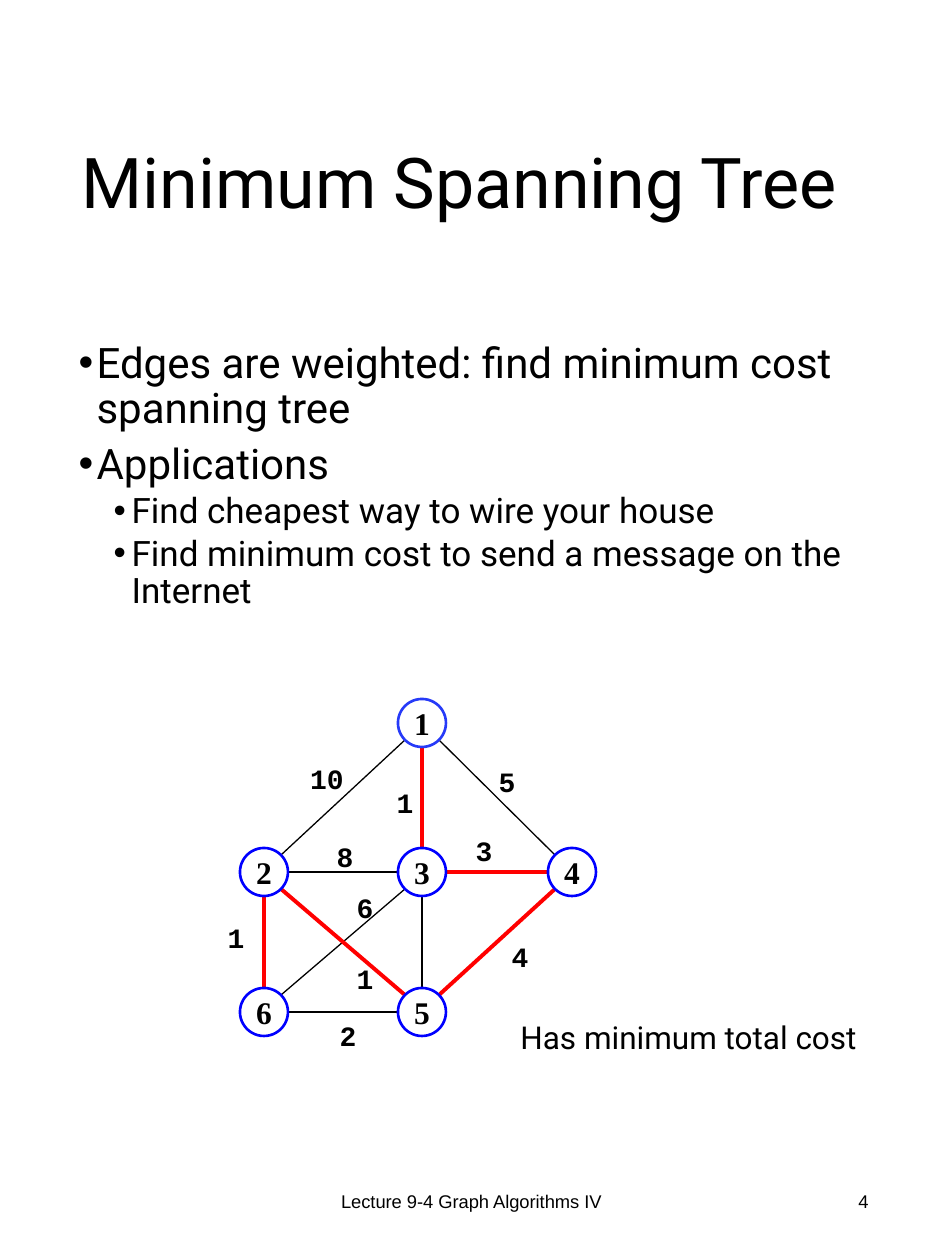
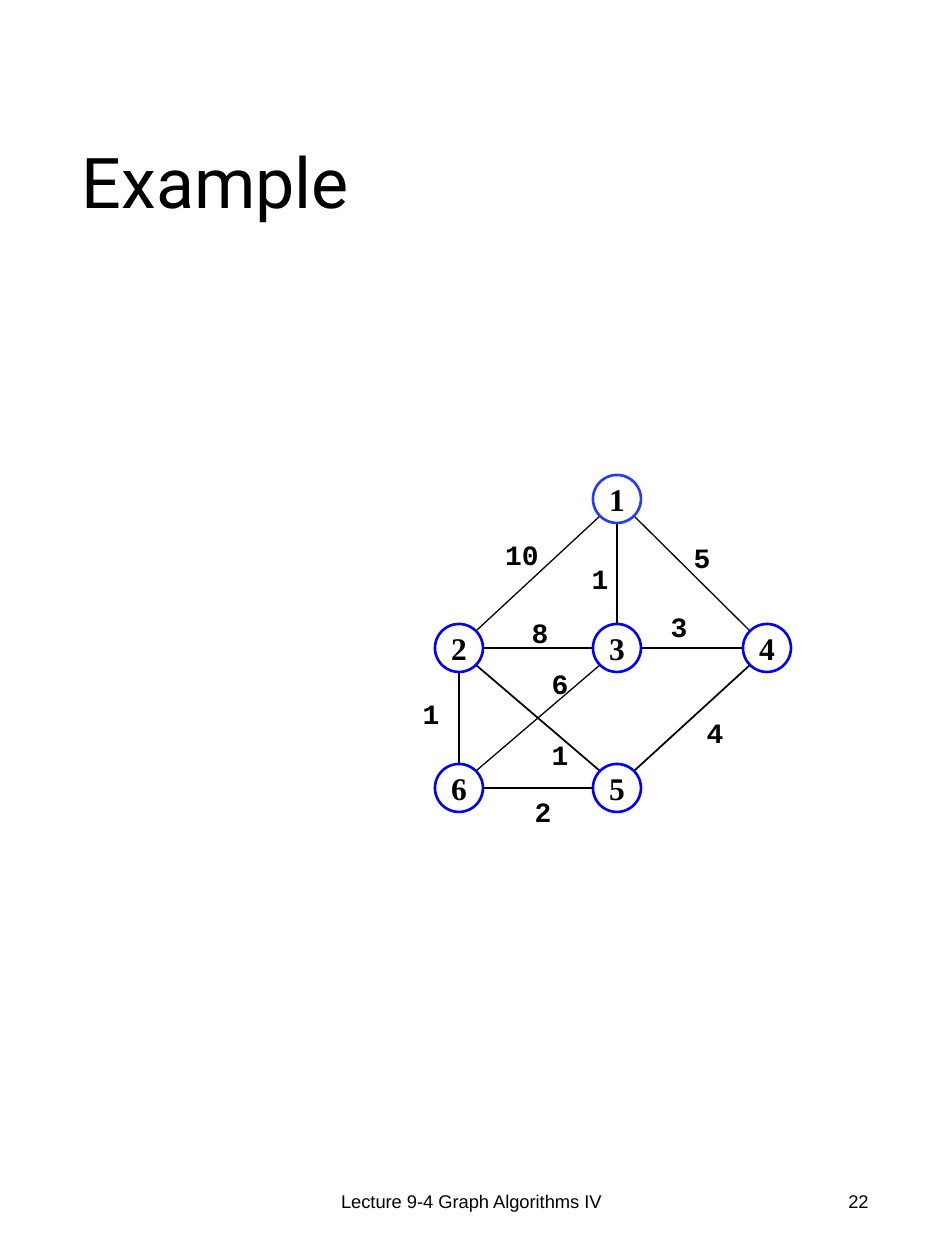
from lxml import etree
from pptx import Presentation
from pptx import util as u
from pptx.dml.color import RGBColor
from pptx.enum import shapes, text
from pptx.oxml import ns

PX = 914400 / 126
COLORS = {"text": "000000", "node": "0000FF", "start": "263AF8", "tree": "FF0000"}
FOOTER = "Lecture 9-4 Graph Algorithms IV"

# Positions are px from the centre of node 1.
NODES = {1: (0, 0), 2: (-158, 149), 3: (0, 149), 4: (150, 149), 5: (0, 289), 6: (-158, 289)}
NODE_SIZE = 48
# (from, to, weight, centre of the weight)
EDGES = [
    (1, 2, "10", (-95, 55)),
    (1, 3, "1", (-17, 79)),
    (1, 4, "5", (85, 58)),
    (2, 3, "8", (-77, 133)),
    (3, 4, "3", (62, 127)),
    (3, 6, "6", (-57, 184)),
    (2, 6, "1", (-186, 214)),
    (2, 5, "1", (-57, 255)),
    (4, 5, "4", (98, 233)),
    (5, 6, "2", (-74, 312)),
]
UNWEIGHTED = (3, 5, None, None)
TREE = {(1, 3), (3, 4), (4, 5), (2, 5), (2, 6)}

SLIDES = [
    {
        "title": "Minimum Spanning Tree",
        "number": "4",
        "bullets": [
            (0, "Edges are weighted: find minimum cost spanning tree"),
            (0, "Applications"),
            (1, "Find cheapest way to wire your house"),
            (1, "Find minimum cost to send a message on the Internet"),
        ],
        "origin": (422, 723),
        "edges": EDGES + [UNWEIGHTED],
        "tree_line": ("tree", 2.25),
        "note": "Has minimum total cost",
    },
    {
        "title": "Example",
        "number": "22",
        "origin": (617, 499),
        "edges": EDGES,
        "tree_line": ("text", 1),
    },
]
# Per level: size, left margin px, space before
LEVELS = [(24, 18, 5.7), (20, 53, 2.8)]
ALIGN = text.PP_ALIGN
MIDDLE = text.MSO_ANCHOR.MIDDLE


def px(*values):
    return [u.Emu(round(v * PX)) for v in values]


def rgb(name):
    return RGBColor.from_string(COLORS[name])


def place(sp, *box):
    sp.left, sp.top, sp.width, sp.height = px(*box)


def style(p, font, size, align=ALIGN.LEFT, bold=False):
    p.alignment = align
    for r in p.runs:
        r.font.name, r.font.size, r.font.bold = font, u.Pt(size), bold
        r.font.color.rgb = rgb("text")


def write(sp, words, *look, wrap=True, anchor=MIDDLE):
    tf = sp.text_frame
    tf.text = words
    tf.word_wrap = wrap
    tf.vertical_anchor = anchor
    style(tf.paragraphs[0], *look)
    return tf


def add_text(s, box, words, *look, **frame):
    return write(s.shapes.add_textbox(*px(*box)), words, *look, **frame)


def add_label(s, box, words, *look, **frame):
    tf = add_text(s, box, words, *look, wrap=False, **frame)
    tf.auto_size = text.MSO_AUTO_SIZE.SHAPE_TO_FIT_TEXT


def add_frame(s, title, number):
    sp = s.shapes.title
    place(sp, 69, 64, 815, 243)
    tf = write(sp, title, "Roboto", 40)
    tf.auto_size = text.MSO_AUTO_SIZE.NONE
    tf.paragraphs[0].line_spacing = 0.9
    add_text(s, (312, 1168, 319, 67), FOOTER, "Arial", 10.5, ALIGN.CENTER)
    add_text(s, (668, 1168, 213, 67), number, "Arial", 10.5, ALIGN.RIGHT)


def add_bullets(s, items):
    sp = s.placeholders[1]
    place(sp, 66, 336, 815, 799)
    tf = sp.text_frame
    tf.auto_size = text.MSO_AUTO_SIZE.NONE
    tf.text = "\n".join(words for _, words in items)
    for i, (p, (level, _)) in enumerate(zip(tf.paragraphs, items)):
        size, margin, before = LEVELS[level]
        p.level = level
        p.line_spacing = 0.9
        p.space_before = u.Pt(before if i else 0)
        p_pr = p._p.get_or_add_pPr()
        p_pr.set("marL", str(px(margin)[0]))
        p_pr.set("indent", str(px(-18)[0]))
        etree.SubElement(p_pr, ns.qn("a:buFont")).set("typeface", "Arial")
        etree.SubElement(p_pr, ns.qn("a:buChar")).set("char", "•")
        style(p, "Roboto", size)


def rim(start, end):
    """Point on the start node's circle, on the nearest of its eight sites."""
    steps = [(b > a) - (b < a) for a, b in zip(start, end)]
    reach = NODE_SIZE / 2 / (2 ** 0.5 if all(steps) else 1)
    return [a + step * reach for a, step in zip(start, steps)]


def add_edge(s, start, end, color, width):
    line = s.shapes.add_connector(
        shapes.MSO_CONNECTOR.STRAIGHT, *px(*rim(start, end), *rim(end, start)))
    line.line.color.rgb = rgb(color)
    line.line.width = u.Pt(width)
    etree.SubElement(line._element.spPr, ns.qn("a:effectLst"))


def add_node(s, x, y, number):
    sp = s.shapes.add_shape(
        shapes.MSO_SHAPE.OVAL,
        *px(x - NODE_SIZE / 2, y - NODE_SIZE / 2, NODE_SIZE, NODE_SIZE))
    sp.shadow.inherit = False
    sp.fill.background()
    sp.line.color.rgb = rgb("start" if number == 1 else "node")
    sp.line.width = u.Pt(1.5)
    write(sp, str(number), "Times New Roman", 18, ALIGN.CENTER, True, wrap=False)


def add_graph(s, origin, edges, tree_line):
    def at(offset):
        return origin[0] + offset[0], origin[1] + offset[1]

    for a, b, weight, spot in edges:
        look = tree_line if (a, b) in TREE else ("text", 0.75)
        add_edge(s, at(NODES[a]), at(NODES[b]), *look)
        if weight:
            x, y = at(spot)
            w, h = 26 + 17 * len(weight), 46
            add_label(s, (x - w / 2, y - h / 2, w, h), weight,
                      "Courier New", 16, ALIGN.CENTER, True)
    for number, offset in NODES.items():
        add_node(s, *at(offset), number)


def main():
    prs = Presentation()
    prs.slide_width, prs.slide_height = px(945, 1260)
    for content in SLIDES:
        bullets = content.get("bullets")
        s = prs.slides.add_slide(prs.slide_layouts[1 if bullets else 5])
        add_frame(s, content["title"], content["number"])
        if bullets:
            add_bullets(s, bullets)
        add_graph(s, content["origin"], content["edges"], content["tree_line"])
        if "note" in content:
            add_label(s, (508, 1012, 382, 50), content["note"], "Roboto", 18,
                      anchor=text.MSO_ANCHOR.TOP)
    prs.save("out.pptx")


if __name__ == "__main__":
    main()
